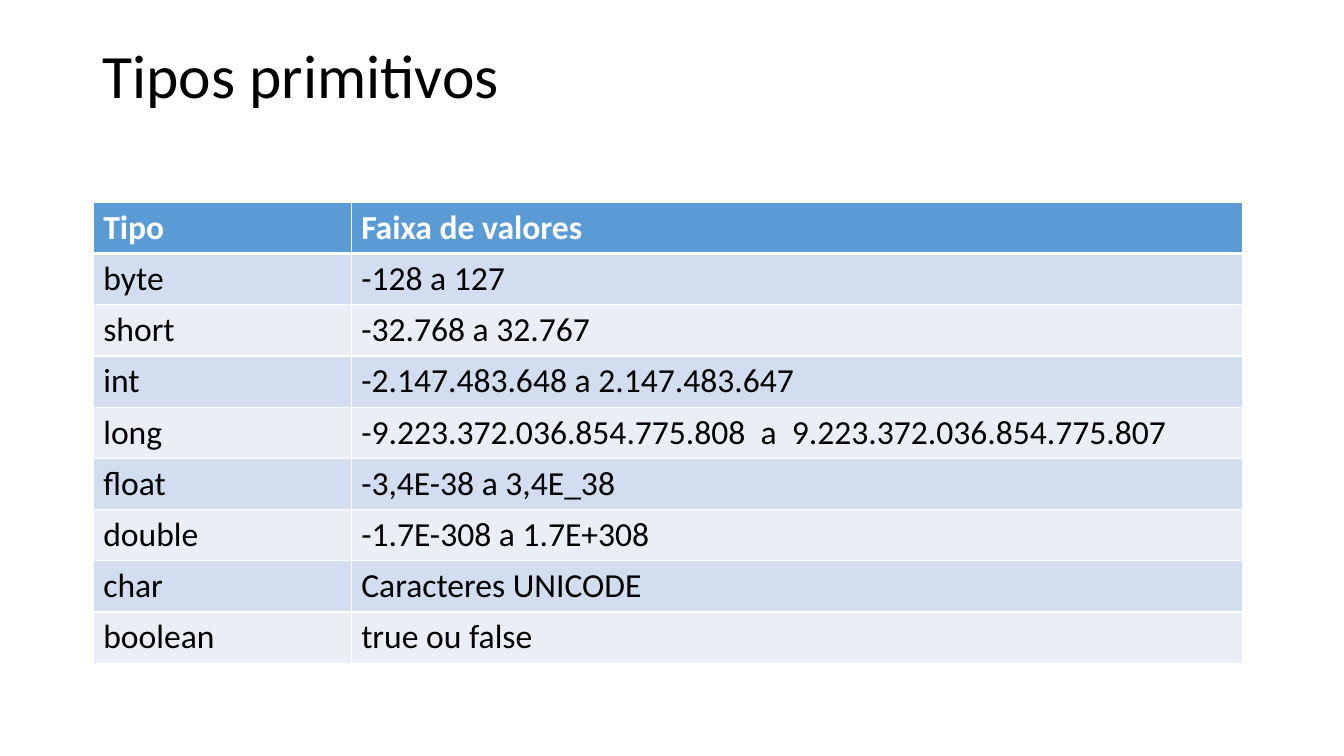
"""Build a slide with a table of primitive types."""
from lxml import etree
from pptx import Presentation
from pptx.dml.color import RGBColor
from pptx.enum.text import MSO_ANCHOR, PP_ALIGN
from pptx.oxml.ns import qn
from pptx.util import Cm, Pt

TOP = MSO_ANCHOR.TOP
LEFT = PP_ALIGN.LEFT
FONT = "Calibri"
WHITE, BLACK = "FFFFFF", "000000"
HEAD = "5B9BD5"
BANDS = ("EAEFF7", "D2DEEF")
COLS = (6.5, 22.46)
ROW = 1.29
TYPES = (
    ("Tipo", "Faixa de valores"),
    ("byte", "-128 a 127"),
    ("short", "-32.768 a 32.767"),
    ("int", "-2.147.483.648 a 2.147.483.647"),
    ("long", "-9.223.372.036.854.775.808  a  9.223.372.036.854.775.807"),
    ("float", "-3,4E-38 a 3,4E_38"),
    ("double", "-1.7E-308 a 1.7E+308"),
    ("char", "Caracteres UNICODE"),
    ("boolean", "true ou false"),
)


def color(code):
    return RGBColor.from_string(code)


def style(para, size, code, bold=False):
    for run in para.runs:
        font = run.font
        font.name, font.size, font.bold = FONT, Pt(size), bold
        font.color.rgb = color(code)


def add_title(slide, text):
    title = slide.shapes.title
    title.left, title.top = Cm(2.33), Cm(1.01)
    title.width, title.height = Cm(29.21), Cm(3.68)
    frame = title.text_frame
    frame.text = text
    frame.vertical_anchor = TOP
    para = frame.paragraphs[0]
    para.alignment = LEFT
    para.line_spacing = 0.9
    style(para, 44, BLACK)


def add_edges(cell, widths):
    props = cell._tc.get_or_add_tcPr()
    for side, width in zip("LRTB", widths):
        line = etree.SubElement(props, qn(f"a:ln{side}"), w=str(Pt(width)))
        fill = etree.SubElement(line, qn("a:solidFill"))
        etree.SubElement(fill, qn("a:srgbClr"), val=WHITE)


def fill_cell(cell, text, row):
    head = row == 0
    add_edges(cell, (1, 1, 3 if row == 1 else 1, 3 if head else 1))
    cell.fill.solid()
    cell.fill.fore_color.rgb = color(HEAD if head else BANDS[row % 2])
    cell.text_frame.text = text
    style(cell.text_frame.paragraphs[0], 24, WHITE if head else BLACK, head)


def add_grid(slide, rows):
    frame = slide.shapes.add_table(
        len(rows), len(COLS), Cm(2.35), Cm(5.1),
        Cm(sum(COLS)), Cm(ROW * len(rows)))
    table = frame.table
    for col, width in zip(table.columns, COLS):
        col.width = Cm(width)
    for i, row in enumerate(rows):
        table.rows[i].height = Cm(ROW)
        for j, text in enumerate(row):
            fill_cell(table.cell(i, j), text, i)


def main():
    deck = Presentation()
    deck.slide_width, deck.slide_height = Cm(33.87), Cm(19.05)
    slide = deck.slides.add_slide(deck.slide_layouts[5])
    add_title(slide, "Tipos primitivos")
    add_grid(slide, TYPES)
    deck.save("out.pptx")


main()
